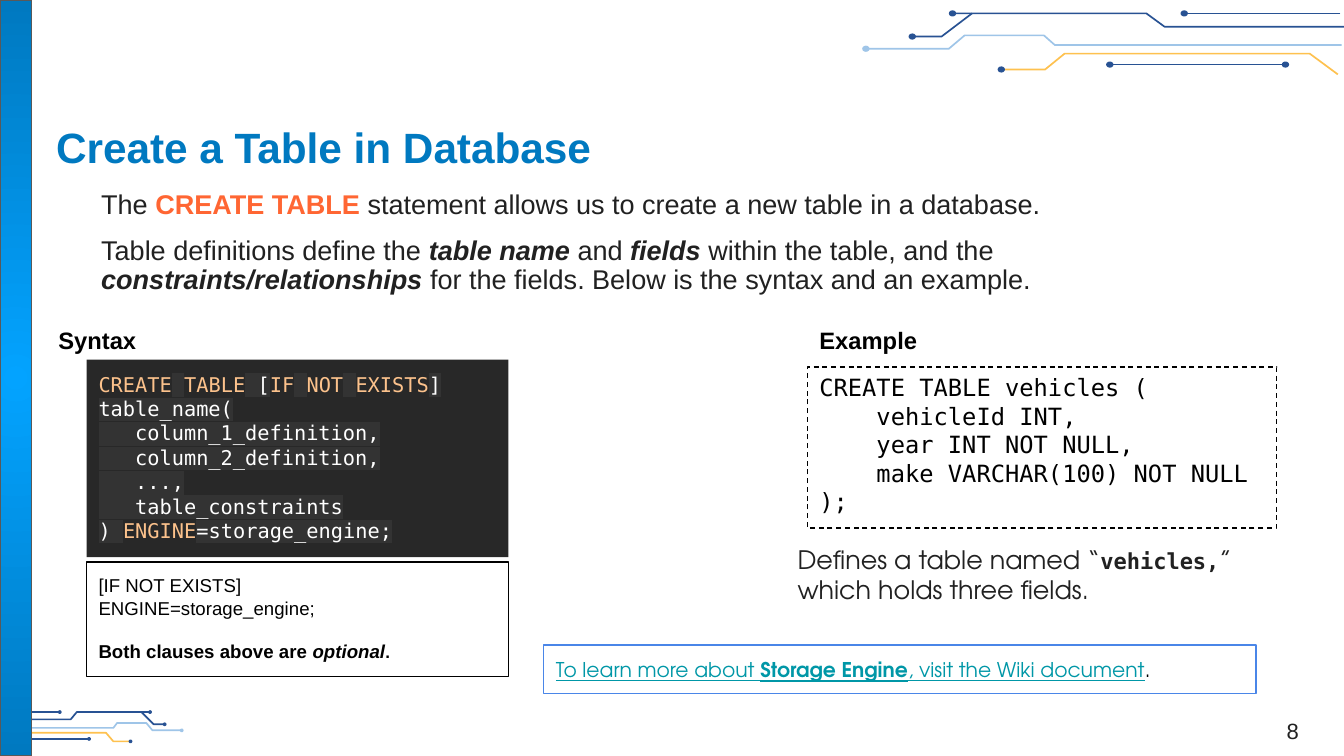
from lxml.etree import SubElement
from pptx import Presentation
from pptx.dml.color import RGBColor
from pptx.enum.dml import MSO_LINE
from pptx.enum.shapes import MSO_CONNECTOR, MSO_SHAPE
from pptx.enum.text import MSO_ANCHOR as Anchor, MSO_AUTO_SIZE as AutoSize, PP_ALIGN as Align
from pptx.oxml.ns import qn
from pptx.util import Inches, Pt

NAVY = RGBColor(0x28, 0x52, 0x93)
LIGHT = RGBColor(0x9F, 0xC5, 0xE8)
YELLOW = RGBColor(0xFE, 0xC1, 0x4F)
BRIGHT = RGBColor(0x03, 0xA3, 0xFF)
BLUE = RGBColor(0x00, 0x79, 0xC0)
FRAME = RGBColor(0x4A, 0x86, 0xE8)
TEAL = RGBColor(0x00, 0x97, 0xA7)
ORANGE = RGBColor(0xFF, 0x66, 0x33)
KEYWORD = RGBColor(0xFC, 0xC2, 0x8C)
GRAY = RGBColor(0x59, 0x59, 0x59)
INK = RGBColor(0x21, 0x21, 0x21)
PANEL = RGBColor(0x28, 0x28, 0x28)
MARK = RGBColor(0x33, 0x33, 0x33)
BLACK = RGBColor(0, 0, 0)
WHITE = RGBColor(0xFF, 0xFF, 0xFF)

SANS, MONO, ROUND = "Arial", "DejaVu Sans Mono", "TeX Gyre Adventor"

BOLD = {"bold": True}
STRONG = {"bold": True, "italic": True}
CODE = {"color": WHITE, "highlight": MARK}
WORD = {"color": KEYWORD}

CORNER_DOT, TOP_DOT = (0.02, 0.02), (0.05, 0.04)
TRACES = [
    (NAVY, CORNER_DOT, 1, [(0.03, 5.9), (0.58, 5.9), (0.63, 5.84), (1.23, 5.84)]),
    (NAVY, CORNER_DOT, 1, [(1.16, 5.84), (1.26, 5.94), (1.35, 5.94)]),
    (NAVY, CORNER_DOT, 1, [(0, 5.84), (0.49, 5.84)]),
    (YELLOW, CORNER_DOT, 1, [(0.01, 6.1), (0.1, 6.01), (0.87, 6.01), (0.93, 6.08), (1.07, 6.08)]),
    (NAVY, CORNER_DOT, 2, [(0.18, 6.06), (0.73, 6.06)]),
    (LIGHT, CORNER_DOT, 1, [(0.07, 5.97), (0.93, 5.97), (0.96, 5.93), (1.2, 5.93),
                            (1.25, 5.99), (1.49, 5.99)]),
    (NAVY, TOP_DOT, 1, [(11.02, 0.22), (9.55, 0.22), (9.4, 0.11), (7.81, 0.11)]),
    (NAVY, TOP_DOT, 1, [(7.97, 0.11), (7.72, 0.3), (7.48, 0.3)]),
    (NAVY, TOP_DOT, 1, [(10.99, 0.11), (9.71, 0.11)]),
    (YELLOW, TOP_DOT, 1, [(10.97, 0.61), (10.74, 0.44), (8.73, 0.44), (8.57, 0.57), (8.21, 0.57)]),
    (NAVY, TOP_DOT, 2, [(10.54, 0.53), (9.1, 0.53)]),
    (LIGHT, TOP_DOT, 1, [(11, 0.37), (8.65, 0.37), (8.56, 0.29), (7.91, 0.29),
                         (7.78, 0.4), (7.1, 0.4)]),
]

INTRO = [
    [("The ", {}), ("CREATE TABLE", {"bold": True, "color": ORANGE}),
     (" statement allows us to create a new table in a database.", {})],
    [("Table definitions define the ", {}), ("table name", STRONG), (" and ", {}),
     ("fields", STRONG), (" within the table, and the ", {}),
     ("constraints/relationships", STRONG),
     (" for the fields. Below is the syntax and an example.", {})],
]
SYNTAX = [
    [("CREATE", WORD), (" ", CODE), ("TABLE", WORD), (" [", CODE), ("IF", WORD), (" ", CODE),
     ("NOT", WORD), (" ", CODE), ("EXISTS", WORD), ("] table_name(", CODE)],
    [("   column_1_definition,", CODE)],
    [("   column_2_definition,", CODE)],
    [("   ...,", CODE)],
    [("   table_constraints", CODE)],
    [(") ", CODE), ("ENGINE", WORD), ("=storage_engine;", CODE)],
]
EXAMPLE = [
    "CREATE TABLE vehicles (",
    "    vehicleId INT,",
    "    year INT NOT NULL,",
    "    make VARCHAR(100) NOT NULL",
    ");",
]
NOTE = [
    "[IF NOT EXISTS]",
    "ENGINE=storage_engine;",
    [("Both clauses above are ", BOLD), ("optional", STRONG), (".", {"bold": True, "size": 10})],
]
MEANING = [[("Defines a table named “", {}),
            ("vehicles,", {"font": MONO, "size": 13, "bold": True}),
            ("” which holds three fields.", {})]]
LINK = {"color": TEAL, "underline": True}
MORE = [[("To learn more about ", LINK), ("Storage Engine", {**LINK, "bold": True}),
         (", visit the Wiki document", LINK), (".", {})]]


def add_span(para, text, size=14, font=SANS, color=BLACK, bold=False, italic=False,
             underline=False, highlight=None):
    """Append formatted text to a paragraph."""
    span = para.add_run()
    span.text = text
    style = span.font
    style.size, style.name = Pt(size), font
    style.bold, style.italic, style.underline = bold, italic, underline
    style.color.rgb = color
    if highlight is not None:
        fill = span._r.rPr.find(qn("a:solidFill"))
        mark = SubElement(span._r.rPr, qn("a:highlight"))
        SubElement(mark, qn("a:srgbClr"), val=str(highlight))
        fill.addnext(mark)


class Page:
    """Hold the text style and the current slide."""

    def __init__(self, deck):
        """Add a title-only slide to the deck."""
        self.style = {"size": 14, "font": SANS, "color": BLACK}
        self.shapes = deck.slides.add_slide(deck.slide_layouts[5]).shapes

    def set_text(self, box, paragraphs, insets=(0.1, 0.1), anchor=Anchor.TOP, align=Align.LEFT,
                 **style):
        """Fill a box with paragraphs of strings or spans."""
        frame = box.text_frame
        frame.word_wrap, frame.auto_size = True, AutoSize.NONE
        frame.vertical_anchor = anchor
        frame.margin_left = frame.margin_right = Inches(insets[0])
        frame.margin_top = frame.margin_bottom = Inches(insets[1])
        for index, spans in enumerate(paragraphs):
            para = frame.add_paragraph() if index else frame.paragraphs[0]
            para.alignment = align
            for text, changes in [(spans, {})] if isinstance(spans, str) else spans:
                add_span(para, text, **{**self.style, **style, **changes})
        return frame.paragraphs

    def title(self, text, place, **style):
        """Move and fill the title placeholder."""
        box = self.shapes.title
        box.left, box.top, box.width, box.height = map(Inches, place)
        self.set_text(box, [text], (0.08, 0.08), Anchor.MIDDLE, **style)

    def text(self, paragraphs, place, **style):
        """Add a text box."""
        return self.set_text(self.shapes.add_textbox(*map(Inches, place)), paragraphs, **style)

    def shape(self, place, kind=MSO_SHAPE.RECTANGLE, fill=None, line=None):
        """Add a flat preset shape."""
        box = self.shapes.add_shape(kind, *map(Inches, place))
        box.shadow.inherit = False
        if fill is None:
            box.fill.background()
        else:
            box.fill.solid()
            box.fill.fore_color.rgb = fill
        if line is None:
            box.line.fill.background()
        else:
            box.line.color.rgb, box.line.width = line, Pt(0.75)
        return box

    def side_bar(self, place):
        """Add a bar with a gradient running out from its centre."""
        box = self.shape(place, line=GRAY)
        box.fill.gradient()
        for stop, color in zip(box.fill.gradient_stops, (BRIGHT, BLUE)):
            stop.color.rgb = color
        gradient = box._element.spPr.find(qn("a:gradFill"))
        linear = gradient.find(qn("a:lin"))
        radial = SubElement(gradient, qn("a:path"), {"path": "circle"})
        SubElement(radial, qn("a:fillToRect"), l="50000", t="50000", r="50000", b="50000")
        gradient.remove(linear)

    def trace(self, color, dot, ends, points):
        """Add a circuit line with a dot on its last end or on both."""
        corners = [(Inches(x), Inches(y)) for x, y in points]
        if len(points) == 2:
            line = self.shapes.add_connector(MSO_CONNECTOR.STRAIGHT, *corners[0], *corners[1])
            SubElement(line._element.spPr, qn("a:effectLst"))
        else:
            builder = self.shapes.build_freeform(*corners[0])
            builder.add_line_segments(corners[1:], close=False)
            line = builder.convert_to_shape()
            line.shadow.inherit = False
            line.fill.background()
        line.line.color.rgb, line.line.width = color, Pt(1)
        width, height = dot
        dot_color = LIGHT if color == LIGHT else NAVY
        for x, y in (points[-1], points[0])[:ends]:
            self.shape((x - width / 2, y - height / 2, width, height), MSO_SHAPE.OVAL,
                       dot_color, dot_color)


def main():
    """Build and save the deck."""
    deck = Presentation()
    deck.slide_width, deck.slide_height = Inches(11.02), Inches(6.2)
    page = Page(deck)
    for trace in TRACES:
        page.trace(*trace)
    page.side_bar((0, 0, 0.26, 6.2))

    page.title("Create a Table in Database", (0.38, 0.88, 9.92, 0.64),
               size=25, color=BLUE, bold=True)
    intro = page.text(INTRO, (0.75, 1.46, 9.59, 1.1), insets=(0.08, 0.08), size=16, color=INK)
    intro[1].line_spacing, intro[1].space_before = 0.9, Pt(10)

    for heading, left in (("Syntax", 0.38), ("Example", 6.62)):
        page.text([heading], (left, 2.57, 3.01, 0.44), bold=True)

    page.set_text(page.shape((0.71, 2.95, 3.46, 1.62), fill=PANEL), SYNTAX, size=12, font=MONO)
    note = page.set_text(page.shape((0.71, 4.61, 3.46, 0.94), line=BLACK), NOTE, size=11)
    note[2].space_before = Pt(12.5)

    example = page.shape((6.62, 3.01, 3.85, 1.32), line=BLACK)
    example.line.dash_style = MSO_LINE.DASH
    page.set_text(example, EXAMPLE, insets=(0.1, 0.05), font=MONO)
    page.text(MEANING, (6.54, 4.46, 3.93, 0.61), insets=(0, 0), size=15, font=ROUND, color=INK)
    page.set_text(page.shape((4.46, 5.29, 5.84, 0.4), line=FRAME), MORE, size=12, font=ROUND)
    page.text(["8"], (10.25, 5.65, 0.7, 0.49), insets=(0.08, 0.04), anchor=Anchor.BOTTOM,
              align=Align.CENTER, size=13, color=INK)
    deck.save("out.pptx")


if __name__ == "__main__":
    main()
